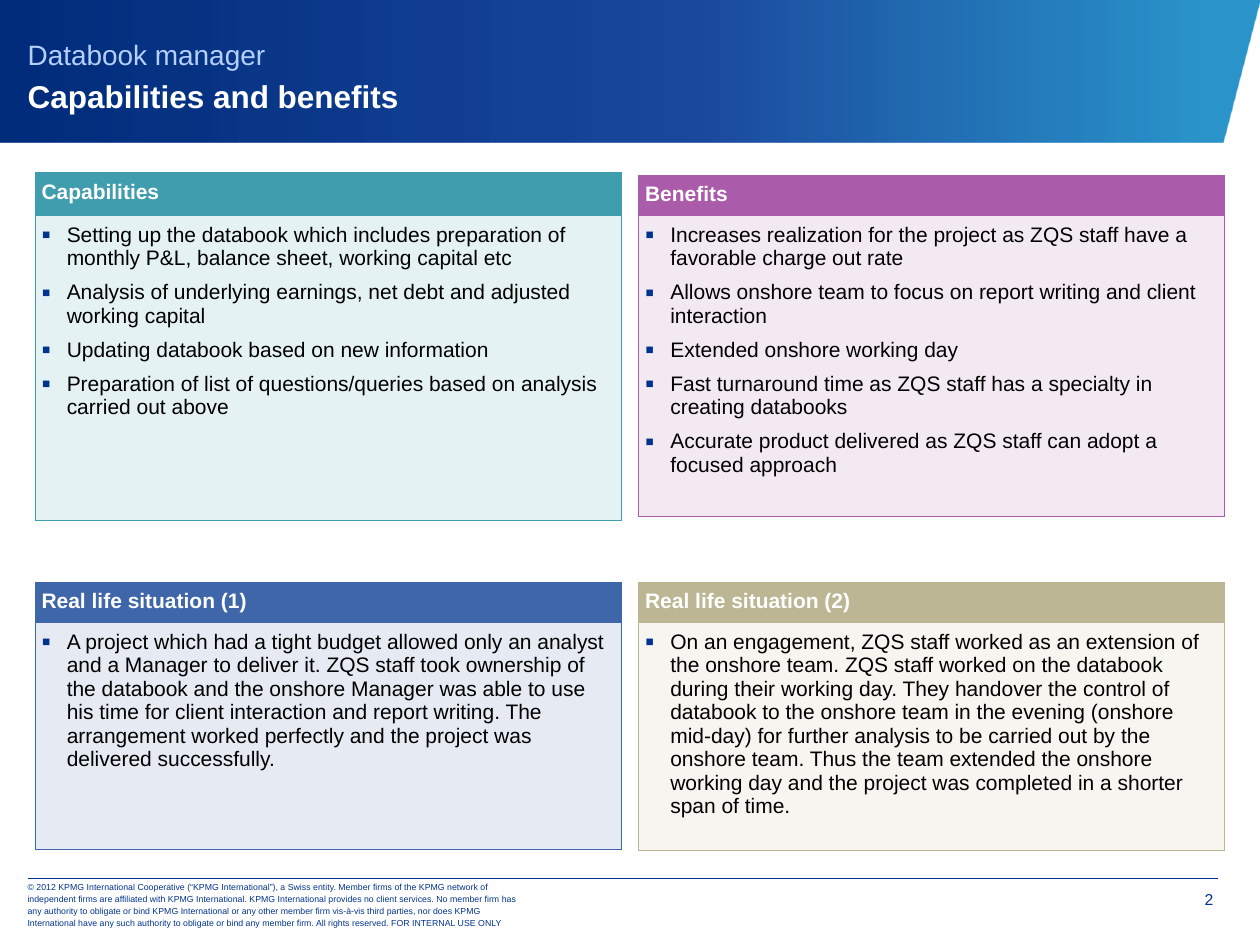
from dataclasses import dataclass

from lxml import etree
from pptx import Presentation
from pptx.dml.color import RGBColor
from pptx.enum.shapes import MSO_CONNECTOR
from pptx.enum.text import MSO_ANCHOR, PP_ALIGN
from pptx.oxml import parse_xml
from pptx.oxml.ns import nsdecls, qn
from pptx.util import Inches, Pt

STRAIGHT = MSO_CONNECTOR.STRAIGHT
MIDDLE = MSO_ANCHOR.MIDDLE
RIGHT = PP_ALIGN.RIGHT


@dataclass(frozen=True)
class Theme:
    font: str = "Arial"
    navy: str = "00338D"
    kicker: str = "B5D0FF"
    white: str = "FFFFFF"
    black: str = "000000"
    # position %, colour, opacity %
    banner: tuple = ((4, "0080C0", 83), (44, "003492", 89), (100, "002C7A", 100))
    kicker_size: int = 16
    title_size: int = 18
    body_size: int = 12
    page_size: int = 9
    legal_size: int = 5


THEME = Theme()

LEGAL = (
    "© 2012 KPMG International Cooperative (“KPMG International”), a Swiss entity. "
    "Member firms of the KPMG network of independent firms are affiliated with KPMG "
    "International. KPMG International provides no client services. No member firm has "
    "any authority to obligate or bind KPMG International or any other member firm "
    "vis-à-vis third parties, nor does KPMG International have any such authority to "
    "obligate or bind any member firm. All rights reserved. FOR INTERNAL USE ONLY"
)

LEFT_COLUMN, RIGHT_COLUMN, PANEL_WIDTH = 0.28, 5.07, 4.65

# (left, top, header height, body height), (strong, tint), heading, points
PANELS = [
    ((LEFT_COLUMN, 1.37, 0.34, 2.42), ("409DAD", "E5F2F4"), "Capabilities", [
        "Setting up the databook which includes preparation of monthly P&L, "
        "balance sheet, working capital etc",
        "Analysis of underlying earnings, net debt and adjusted working capital",
        "Updating databook based on new information",
        "Preparation of list of questions/queries based on analysis carried out above",
    ]),
    ((RIGHT_COLUMN, 1.39, 0.31, 2.39), ("AA5CAA", "F3E9F3"), "Benefits", [
        "Increases realization for the project as ZQS staff have a favorable charge out rate",
        "Allows onshore team to focus on report writing and client interaction",
        "Extended onshore working day",
        "Fast turnaround time as ZQS staff has a specialty in creating databooks",
        "Accurate product delivered as ZQS staff can adopt a focused approach",
    ]),
    ((LEFT_COLUMN, 4.62, 0.31, 1.8), ("4066AA", "E5EAF3"), "Real life situation (1)", [
        "A project which had a tight budget allowed only an analyst and a Manager to "
        "deliver it. ZQS staff took ownership of the databook and the onshore Manager was "
        "able to use his time for client interaction and report writing. The arrangement "
        "worked perfectly and the project was delivered successfully.",
    ]),
    ((RIGHT_COLUMN, 4.62, 0.31, 1.81), ("BDB694", "F6F5F0"), "Real life situation (2)", [
        "On an engagement, ZQS staff worked as an extension of the onshore team. ZQS staff "
        "worked on the databook during their working day. They handover the control of "
        "databook to the onshore team in the evening (onshore mid-day) for further analysis "
        "to be carried out by the onshore team. Thus the team extended the onshore working "
        "day and the project was completed in a shorter span of time.",
    ]),
]


def add_run(paragraph, text, size, color, bold=False):
    run = paragraph.add_run()
    run.text = text
    run.font.name = THEME.font
    run.font.size = Pt(size)
    run.font.bold = bold
    run.font.color.rgb = RGBColor.from_string(color)


def add_text_frame(slide, box, insets):
    """Add a wrapping text box; insets are left, top, right, bottom."""
    frame = slide.shapes.add_textbox(*map(Inches, box)).text_frame
    frame.word_wrap = True
    (frame.margin_left, frame.margin_top,
     frame.margin_right, frame.margin_bottom) = map(Inches, insets)
    return frame


def add_banner(slide, left, top, width, height, slant):
    builder = slide.shapes.build_freeform(Inches(left), Inches(top + height))
    right = left + width
    builder.add_line_segments([
        (Inches(right - slant), Inches(top + height)),
        (Inches(right), Inches(top)),
        (Inches(left), Inches(top)),
    ])
    banner = builder.convert_to_shape()
    banner.shadow.inherit = False
    banner.line.fill.background()
    banner.fill.background()
    stops = "".join(
        f'<a:gs pos="{position * 1000}"><a:srgbClr val="{color}">'
        f'<a:alpha val="{opacity * 1000}"/></a:srgbClr></a:gs>'
        for position, color, opacity in THEME.banner)
    gradient = parse_xml(
        f'<a:gradFill {nsdecls("a")} rotWithShape="1"><a:gsLst>{stops}</a:gsLst>'
        '<a:lin ang="10800000" scaled="0"/></a:gradFill>')
    properties = banner.element.spPr
    properties.replace(properties.find(qn("a:noFill")), gradient)


def add_title(slide, box):
    frame = add_text_frame(slide, box, (0, 0, 0, 0))
    frame.vertical_anchor = MIDDLE
    title = frame.paragraphs[0]
    title.line_spacing = Pt(25)
    add_run(title, "Databook manager", THEME.kicker_size, THEME.kicker)
    title.add_line_break()
    add_run(title, "Capabilities and benefits", THEME.title_size, THEME.white, bold=True)


def set_bullet(paragraph):
    properties = paragraph._p.get_or_add_pPr()
    properties.set("marL", str(Inches(0.2)))
    properties.set("indent", str(-Inches(0.2)))
    color = etree.SubElement(properties, qn("a:buClr"))
    etree.SubElement(color, qn("a:srgbClr"), val=THEME.navy)
    etree.SubElement(properties, qn("a:buSzPct"), val="125000")
    etree.SubElement(properties, qn("a:buFont"), typeface=THEME.font)
    etree.SubElement(properties, qn("a:buChar"), char="▪")


def style_cell(cell, fill, border):
    cell.margin_left = cell.margin_right = Inches(0.05)
    cell.margin_top = cell.margin_bottom = Inches(0.06)
    properties = cell._tc.get_or_add_tcPr()
    for side in ("lnL", "lnR", "lnT", "lnB"):
        edge = etree.SubElement(properties, qn(f"a:{side}"), w=str(Pt(0.5)))
        solid = etree.SubElement(edge, qn("a:solidFill"))
        etree.SubElement(solid, qn("a:srgbClr"), val=border)
    cell.fill.solid()
    cell.fill.fore_color.rgb = RGBColor.from_string(fill)


def add_panel(slide, box, colors, heading, points):
    left, top, header_height, body_height = box
    strong, tint = colors
    table = slide.shapes.add_table(
        2, 1, Inches(left), Inches(top), Inches(PANEL_WIDTH),
        Inches(header_height + body_height)).table
    table.first_row = table.horz_banding = False
    table.rows[0].height = Inches(header_height)
    table.rows[1].height = Inches(body_height)
    header, body = table.cell(0, 0), table.cell(1, 0)
    style_cell(header, strong, strong)
    style_cell(body, tint, strong)
    add_run(header.text_frame.paragraphs[0], heading, THEME.body_size, THEME.white, bold=True)
    for index, point in enumerate(points):
        frame = body.text_frame
        paragraph = frame.add_paragraph() if index else frame.paragraphs[0]
        set_bullet(paragraph)
        if index:
            paragraph.space_before = Pt(6)
        add_run(paragraph, point, THEME.body_size, THEME.black)


def add_footer(slide, left, top, width):
    rule = slide.shapes.add_connector(
        STRAIGHT, Inches(left), Inches(top), Inches(left + width), Inches(top))
    rule.line.color.rgb = RGBColor.from_string(THEME.navy)
    rule.line.width = Pt(0.25)
    etree.SubElement(rule._element.spPr, qn("a:effectLst"))

    page = add_text_frame(
        slide, (left + width - 0.59, top + 0.01, 0.55, 0.31), (0.08, 0.08, 0, 0))
    page.paragraphs[0].alignment = RIGHT
    add_run(page.paragraphs[0], "2", THEME.page_size, THEME.navy)

    legal = add_text_frame(
        slide, (left - 0.1, top + 0.03, 4.15, 0.35), (0.1, 0.05, 0.1, 0.05))
    legal.vertical_anchor = MIDDLE
    legal.paragraphs[0].line_spacing = Pt(7)
    add_run(legal.paragraphs[0], LEGAL, THEME.legal_size, THEME.navy)


def main():
    deck = Presentation()
    deck.slide_width, deck.slide_height = Inches(10), Inches(7.5)
    slide = deck.slides.add_slide(deck.slide_layouts[6])
    add_banner(slide, -0.01, -0.01, 10.01, 1.14, slant=0.3)
    add_footer(slide, 0.22, 6.97, 9.45)
    add_title(slide, (0.22, 0.13, 9.35, 0.87))
    for panel in PANELS:
        add_panel(slide, *panel)
    deck.save("out.pptx")


if __name__ == "__main__":
    main()
